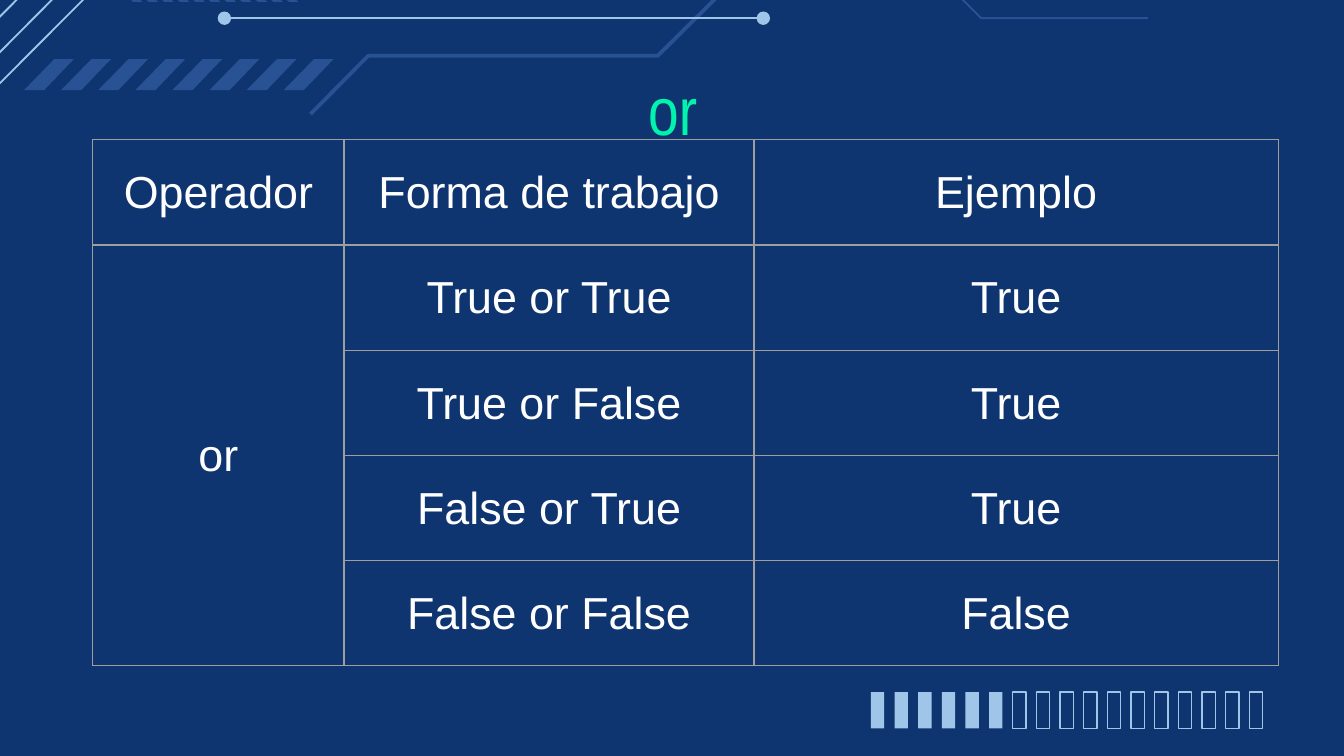
from lxml.etree import SubElement
from pptx import Presentation
from pptx.dml.color import RGBColor
from pptx.enum.shapes import MSO_CONNECTOR, MSO_SHAPE
from pptx.enum.text import MSO_ANCHOR, PP_ALIGN
from pptx.oxml.ns import qn
from pptx.util import Inches, Pt

COLORS = {"bg": "0F3570", "light": "9FC5E8", "mid": "285293",
          "title": "00F4AD", "text": "FFFFFF", "border": "9E9E9E"}
RGB = {name: RGBColor.from_string(value) for name, value in COLORS.items()}

prs = Presentation()
prs.slide_width = Inches(10)
prs.slide_height = prs.slide_width * 9 // 16
U = prs.slide_width // 100  # grid unit: 1 % of the slide's width
s = prs.slides.add_slide(prs.slide_layouts[6])
s.background.fill.solid()
s.background.fill.fore_color.rgb = RGB["bg"]


def outline(points, closed):
    """Add a freeform through points given in grid units."""
    pts = [(round(x * U), round(y * U)) for x, y in points]
    fb = s.shapes.build_freeform(*pts[0], scale=1.0)
    fb.add_line_segments(pts[1:], close=closed)
    return fb.convert_to_shape()


def paint(sp, fill=None, line=None, width=0.75):
    sp.shadow.inherit = False
    if fill:
        sp.fill.solid()
        sp.fill.fore_color.rgb = RGB[fill]
    else:
        sp.fill.background()
    if line:
        sp.line.color.rgb = RGB[line]
        sp.line.width = Pt(width)
    else:
        sp.line.fill.background()


# Circuit traces across the top
traces = [
    ([(-1.9, 8.1), (12.7, -6.55), (25.9, -6.55), (31.4, -1.05),
      (44.9, -1.05), (52.85, -9.05), (60.4, -9.05)], "light", 1),
    ([(23.1, 8.5), (27.4, 4.15), (48.95, 4.15), (54.65, -1.5), (64.6, -1.5)], "mid", 2),
    ([(58.5, -3.8), (67.85, -3.8), (73, 1.35), (85.4, 1.35)], "mid", 1),
    ([(-4.3, 8.2), (10.4, -6.6)], "light", 1),
    ([(-6.1, 7.35), (8.6, -7.4)], "light", 1),
]
for points, color, width in traces:
    paint(outline(points, False), line=color, width=width)

# Straight trace with a dot at each end
trace = s.shapes.add_connector(MSO_CONNECTOR.STRAIGHT, round(16.6 * U), round(1.34 * U),
                               round(56.5 * U), round(1.34 * U))
trace.line.color.rgb = RGB["light"]
trace.line.width = Pt(1)
SubElement(trace._element.spPr, qn("a:effectLst"))
for x in (16.2, 56.3):
    dot = s.shapes.add_shape(MSO_SHAPE.OVAL, round(x * U), round(0.86 * U), U, U)
    paint(dot, "light")

# Slanted stripes and the row of chevrons at the top edge
for i in range(8):
    x = 1.8 + 2.76 * i
    paint(outline([(x + 1.5, 6.7), (x + 3.7, 4.4), (x + 2.25, 4.4), (x, 6.7)], True), "mid")
for i in range(11):
    x = 8.7 + 1.16 * i
    paint(outline([(x + 1.9, 0.14), (x + 0.75, -0.9), (x + 1.8, -1.9),
                   (x + 1.05, -1.9), (x, -0.9), (x + 1.2, 0.14)], True), "mid")

# Progress bar: 6 of 17 cells filled
for i in range(17):
    cell = s.shapes.add_shape(MSO_SHAPE.RECTANGLE, round((64.8 + 1.76 * i) * U),
                              round(51.5 * U), U, round(2.7 * U))
    if i < 6:
        paint(cell, "light")
    else:
        paint(cell, line="light")

# Title
tf = s.shapes.add_textbox(round(7.9 * U), round(5.1 * U),
                          round(84.3 * U), round(5.3 * U)).text_frame
tf.word_wrap = True
tf.margin_left = tf.margin_top = tf.margin_right = tf.margin_bottom = 0
tf.vertical_anchor = MSO_ANCHOR.TOP
p = tf.paragraphs[0]
p.alignment = PP_ALIGN.CENTER
r = p.add_run()
r.text = "or"
r.font.name, r.font.size = "Arial Narrow", Pt(36)
r.font.color.rgb = RGB["title"]

# Truth table
rows = [
    ("Operador", "Forma de trabajo", "Ejemplo"),
    ("or", "True or True", "True"),
    ("", "True or False", "True"),
    ("", "False or True", "True"),
    ("", "False or False", "False"),
]
widths = (18.7, 30.5, 39)
row_height = round(7.83 * U)
table = s.shapes.add_table(len(rows), len(widths), round(6.9 * U), round(10.4 * U),
                           round(sum(widths) * U), row_height * len(rows)).table
table.first_row = table.horz_banding = False
for column, width in zip(table.columns, widths):
    column.width = round(width * U)
for row in table.rows:
    row.height = row_height
for i, texts in enumerate(rows):
    for j, text in enumerate(texts):
        cell = table.cell(i, j)
        cell.margin_left = cell.margin_top = cell.margin_right = Inches(0.01)
        cell.margin_bottom = 0
        cell.vertical_anchor = MSO_ANCHOR.MIDDLE
        tcPr = cell._tc.get_or_add_tcPr()
        for side in ("lnL", "lnR", "lnT", "lnB"):
            ln = SubElement(tcPr, qn(f"a:{side}"), w=str(Pt(0.75)))
            solid = SubElement(ln, qn("a:solidFill"))
            SubElement(solid, qn("a:srgbClr"), val=COLORS["border"])
        cell.fill.background()
        if text:
            p = cell.text_frame.paragraphs[0]
            p.alignment = PP_ALIGN.CENTER
            r = p.add_run()
            r.text = text
            r.font.name, r.font.size = "Arial", Pt(24)
            r.font.color.rgb = RGB["text"]
table.cell(1, 0).merge(table.cell(4, 0))

prs.save("out.pptx")
